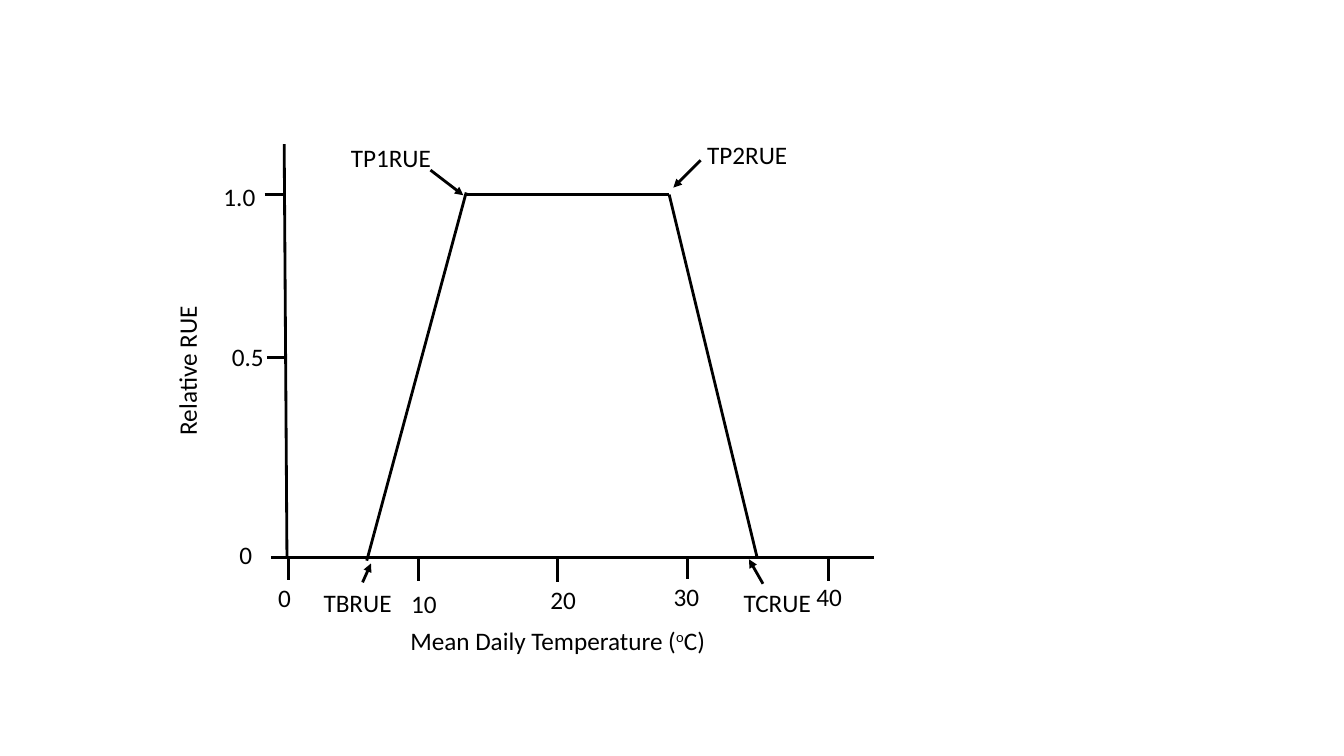
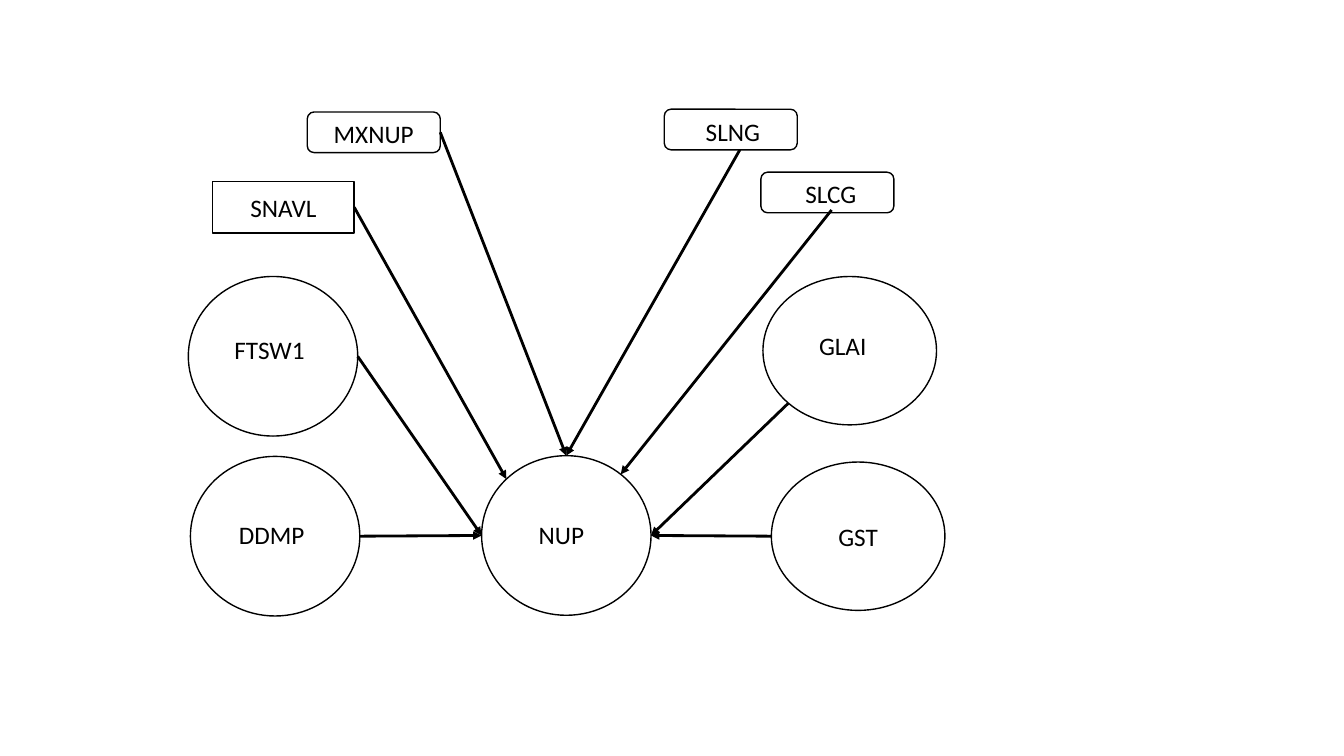
import math

import pptx
import pptx.dml.color
import pptx.enum.shapes
import pptx.enum.text
import pptx.oxml.ns
import pptx.util
from lxml import etree

Pt = pptx.util.Pt
SHAPE = pptx.enum.shapes.MSO_SHAPE
BLACK = pptx.dml.color.RGBColor(0x00, 0x00, 0x00)
WHITE = pptx.dml.color.RGBColor(0xFF, 0xFF, 0xFF)
FONT = "Calibri"
FONT_SIZE = 18
LABEL_HEIGHT = 29

# Sizes of the diagram nodes
LEFT_CIRCLE = (121, 114)
RIGHT_CIRCLE = (124, 106)
TAG = (95, 29)
RECTANGLE = (101, 37)


def write_text(frame, text, size=FONT_SIZE, color=BLACK, align=None, wrap=True):
    """Fill a text frame; text between carets is superscript."""
    frame.word_wrap = wrap
    paragraph = frame.paragraphs[0]
    paragraph.alignment = align
    for index, part in enumerate(text.split("^")):
        run = paragraph.add_run()
        run.text = part
        run.font.name = FONT
        run.font.size = Pt(size)
        run.font.color.rgb = color
        if index % 2:
            run.font._element.set("baseline", "30000")


def add_label(slide, text, left, top, width, rotation=0, **text_format):
    box = slide.shapes.add_textbox(Pt(left), Pt(top), Pt(width), Pt(LABEL_HEIGHT))
    box.rotation = rotation
    write_text(box.text_frame, text, **text_format)


def add_line(slide, start, end, weight=2, arrow=False):
    connector = slide.shapes.add_connector(
        pptx.enum.shapes.MSO_CONNECTOR.STRAIGHT,
        *(Pt(value) for value in (*start, *end)))
    connector.line.color.rgb = BLACK
    connector.line.width = Pt(weight)
    qualified = pptx.oxml.ns.qn
    if arrow:
        line = connector.line._get_or_add_ln()
        etree.SubElement(line, qualified("a:tailEnd"), type="triangle")
    etree.SubElement(connector._element.spPr, qualified("a:effectLst"))
    return connector


def add_node(slide, text, kind, left, top, size, shift=(0, 0), fill=WHITE):
    """Add an outlined node whose label is shifted from its centre."""
    width, height = size
    shape = slide.shapes.add_shape(kind, Pt(left), Pt(top), Pt(width), Pt(height))
    shape.shadow.inherit = False
    if fill is None:
        shape.fill.background()
    else:
        shape.fill.solid()
        shape.fill.fore_color.rgb = fill
    shape.line.color.rgb = BLACK
    shape.line.width = Pt(1)

    # A margin of twice the shift moves centred text by the shift
    right, down = shift
    frame = shape.text_frame
    frame.margin_left, frame.margin_right = Pt(max(2 * right, 0)), Pt(max(-2 * right, 0))
    frame.margin_top, frame.margin_bottom = Pt(max(2 * down, 0)), Pt(max(-2 * down, 0))
    frame.vertical_anchor = pptx.enum.text.MSO_ANCHOR.MIDDLE
    write_text(frame, text, align=pptx.enum.text.PP_ALIGN.CENTER)
    return shape


def rim_point(shape, degrees):
    """Point on an ellipse, counted anticlockwise from its right side."""
    angle = math.radians(degrees)
    return (shape.left.pt + shape.width.pt / 2 * (1 + math.cos(angle)),
            shape.top.pt + shape.height.pt / 2 * (1 - math.sin(angle)))


def bottom_point(shape, right=0, down=0):
    return (shape.left.pt + shape.width.pt / 2 + right,
            shape.top.pt + shape.height.pt + down)


def draw_response_plot(slide, left, top):
    """Relative RUE against temperature, from the top of the vertical axis."""
    def place(x, y):
        return left + x, top + y

    # Axes and response curve
    for start, end in [
        ((0, 0), (2, 295)),
        ((421, 295), (2, 295)),
        ((130, 34.5), (59, 297.5)),
        ((130, 36), (275, 36)),
        ((275, 36), (338, 296)),
    ]:
        add_line(slide, place(*start), place(*end))

    # Temperature ticks: text, tick position, tick top, label position
    for text, x, y, label_x, label_y, width in [
        ("0", 3, 295, -11.5, 309.5, 43),
        ("10", 96, 296, 83.5, 314, 48),
        ("20", 195, 296.5, 183, 310.5, 48),
        ("30", 288, 294.5, 271, 309, 48),
        ("40", 389, 296, 373, 309, 48),
    ]:
        add_line(slide, place(x, y), place(x, y + 16))
        add_label(slide, text, *place(label_x, label_y), width)

    # RUE ticks: text, tick position, label position
    for text, x, y, label_x, label_y, width in [
        ("1.0", -14, 36, -50.5, 23, 48),
        ("0.5", -12, 152.5, -44.5, 137.5, 48),
        ("0", -9.5, 295, -39, 278.5, 25),
    ]:
        add_line(slide, place(x, y), place(x + 13, y), weight=2.25)
        add_label(slide, text, *place(label_x, label_y), width)

    # Axis titles
    add_label(slide, "Mean Daily Temperature (^o^C)", *place(83, 340), 230)
    add_label(slide, "Relative RUE", *place(-141, 129), 143, rotation=270)

    # Named points with their arrows
    for text, label, width, start, end in [
        ("TBRUE", (21, 313), 71, (56, 313), (62, 299.5)),
        ("TP1RUE", (40.5, -5), 77, (104.5, 18.5), (128, 36.5)),
        ("TP2RUE", (295, -7), 76, (297.5, 11.5), (278, 31)),
        ("TCRUE", (321, 313), 63, (342, 314), (332, 296.5)),
    ]:
        add_label(slide, text, *place(*label), width, wrap=False)
        add_line(slide, place(*start), place(*end), arrow=True)


def draw_uptake_diagram(slide, left, top):
    """Factors pointing to NUP, placed from the diagram's top left corner."""
    nodes = {}
    for text, kind, x, y, size, shift, fill in [
        ("GST", SHAPE.OVAL, 417, 253, RIGHT_CIRCLE, (0, 0), WHITE),
        ("NUP", SHAPE.OVAL, 210, 248.5, LEFT_CIRCLE, (-3.5, -1), WHITE),
        ("SLNG", SHAPE.ROUNDED_RECTANGLE, 340.5, 1, TAG, (1.5, 1), WHITE),
        ("GLAI", SHAPE.OVAL, 411, 120.5, RIGHT_CIRCLE, (-5, -3.5), WHITE),
        ("FTSW1", SHAPE.OVAL, 0.5, 120.5, LEFT_CIRCLE, (-2.5, -5), WHITE),
        ("SLCG", SHAPE.ROUNDED_RECTANGLE, 409.5, 46, TAG, (2.5, 0.5), WHITE),
        ("MXNUP", SHAPE.ROUNDED_RECTANGLE, 85.5, 3, TAG, (0, 1), WHITE),
        ("SNAVL", SHAPE.RECTANGLE, 18, 52.5, RECTANGLE, (0, 0.5), None),
        ("DDMP", SHAPE.OVAL, 2, 249, LEFT_CIRCLE, (-2.5, -1.5), WHITE),
    ]:
        nodes[text] = add_node(slide, text, kind, left + x, top + y, size, shift, fill)

    # Arrows from a free starting point to an angle on the NUP rim
    for start, degrees in [
        (rim_point(nodes["GST"], 180), 0),
        (rim_point(nodes["GLAI"], 225), 0),
        (rim_point(nodes["FTSW1"], 0), 180),
        (rim_point(nodes["DDMP"], 0), 180),
        (bottom_point(nodes["SLNG"], right=6.5), 90),
        (bottom_point(nodes["SLCG"], right=3, down=-2), 50),
    ]:
        add_line(slide, start, rim_point(nodes["NUP"], degrees), arrow=True)

    # Arrows joined to the middle of a right side
    for name, degrees in [("MXNUP", 90), ("SNAVL", 135)]:
        end = rim_point(nodes["NUP"], degrees)
        add_line(slide, end, end, arrow=True).begin_connect(nodes[name], 3)


def main():
    presentation = pptx.Presentation()
    presentation.slide_width = Pt(960)
    presentation.slide_height = Pt(540)
    blank_layout = presentation.slide_layouts[6]
    draw_response_plot(presentation.slides.add_slide(blank_layout), 203, 103)
    draw_uptake_diagram(presentation.slides.add_slide(blank_layout), 134, 77)
    presentation.save("out.pptx")


if __name__ == "__main__":
    main()
